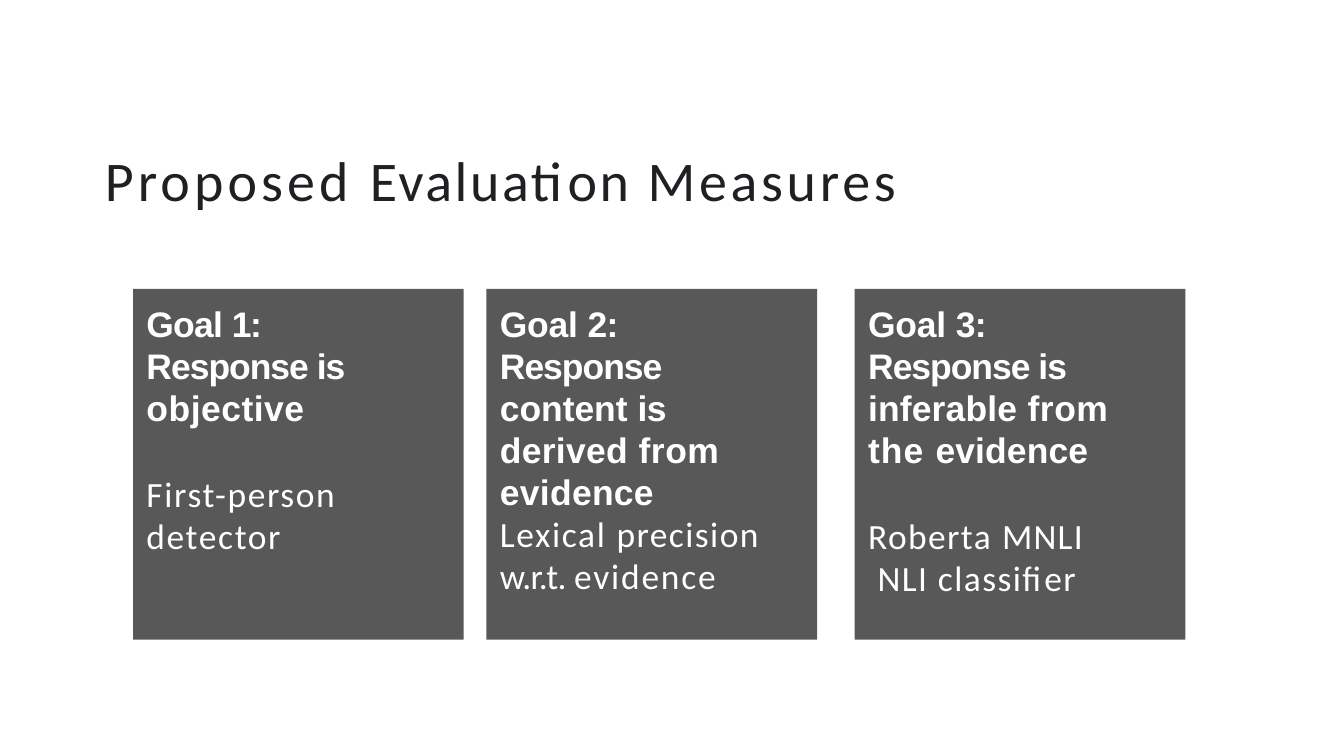
from pptx import Presentation
from pptx.dml.color import RGBColor
from pptx.enum.shapes import MSO_SHAPE
from pptx.enum.text import MSO_ANCHOR, MSO_AUTO_SIZE, PP_ALIGN
from pptx.util import Inches, Pt

COLORS = {"ink": "1F2023", "panel": "585858", "white": "FFFFFF"}
FORMATS = {
    "title": {"name": "Calibri", "size": Pt(30), "bold": False},
    "goal": {"name": "Arial", "size": Pt(19), "bold": True},
    "measure": {"name": "Calibri", "size": Pt(19), "bold": False},
}
FONT_COLORS = {"title": "ink", "goal": "white", "measure": "white"}
GRID = 0.1  # inches per column and row


def cells(*counts):
    return [Inches(n * GRID) for n in counts]


class Deck:
    def __init__(self):
        self.prs = Presentation()
        self.prs.slide_width = Inches(10)
        self.prs.slide_height = self.prs.slide_width * 9 // 16
        self.slide = self.prs.slides.add_slide(self.prs.slide_layouts[5])

    def frame(self, sp, top_inset):
        tf = sp.text_frame
        values = {"margin_left": 0, "margin_right": 0, "margin_bottom": 0,
                  "margin_top": Inches(top_inset), "word_wrap": True,
                  "auto_size": MSO_AUTO_SIZE.NONE,
                  "vertical_anchor": MSO_ANCHOR.TOP}
        for name, value in values.items():
            setattr(tf, name, value)
        return tf

    def paragraph(self, p, lines, style, indent, before, spacing=None):
        """Each line is a list of (text, letter spacing in points)."""
        p.alignment = PP_ALIGN.LEFT
        p.space_before = Pt(before)
        p.line_spacing = spacing
        p._p.get_or_add_pPr().set("marL", str(Inches(indent)))
        for i, line in enumerate(lines):
            if i:
                p.add_line_break()
            for text, tracking in line:
                r = p.add_run()
                r.text = text
                for name, value in FORMATS[style].items():
                    setattr(r.font, name, value)
                color = COLORS[FONT_COLORS[style]]
                r.font.color.rgb = RGBColor.from_string(color)
                r._r.get_or_add_rPr().set("spc", str(round(tracking * 100)))

    def title(self, line, box):
        sp = self.slide.shapes.title
        sp.left, sp.top, sp.width, sp.height = cells(*box)
        tf = self.frame(sp, 0.01)
        self.paragraph(tf.paragraphs[0], [line], "title", 0.01, 1)

    def panel(self, box, goal, measure, gap):
        sp = self.slide.shapes.add_shape(MSO_SHAPE.RECTANGLE, *cells(*box))
        sp.shadow.inherit = False
        sp.fill.solid()
        sp.fill.fore_color.rgb = RGBColor.from_string(COLORS["panel"])
        sp.line.fill.background()
        tf = self.frame(sp, 0.1)
        self.paragraph(tf.paragraphs[0], goal, "goal", 0.1, 7.3, Pt(22.5))
        self.paragraph(tf.add_paragraph(), measure, "measure", 0.1, gap, Pt(22.5))


# Panels: left column, goal lines, measure lines, gap between them in points
PANELS = [
    (9.9,
     [[("Goal ", -0.4), ("1:", -0.8)], [("Response is", -0.5)],
      [("objective", 0.3)]],
     [[("First-person", 0.9)], [("detector", 0.9)]], 23.8),
    (36.2,
     [[("Goal ", -0.1), ("2:", -0.3)], [("Response", -0.5)],
      [("content ", 0), ("is", -0.3)], [("derived ", 0.2), ("from", 0.3)],
      [("evidence", 0.2)]],
     [[("Lexical ", 0.9), ("precision", 0.8)],
      [("w.r.t. ", -0.3), ("evidence", 1)]], 0),
    (63.6,
     [[("Goal ", -0.1), ("3:", -0.3)], [("Response is", -0.5)],
      [("inferable ", 0.1), ("from", 0.3)], [("the ", 0.6), ("evidence", 0.1)]],
     [[("Roberta ", 0.8), ("MNLI", 0.7)], [(" NLI classifier", 0.8)]], 23.8),
]


def main():
    deck = Deck()
    # Heading
    deck.title([("Proposed ", 2.2), ("Evaluation ", 1.4), ("Measures", 2)],
               (7.7, 10.7, 59.6, 5.3))
    # Goals and their measures
    for left, goal, measure, gap in PANELS:
        deck.panel((left, 21.5, 24.6, 26.1), goal, measure, gap)
    deck.prs.save("out.pptx")


if __name__ == "__main__":
    main()
